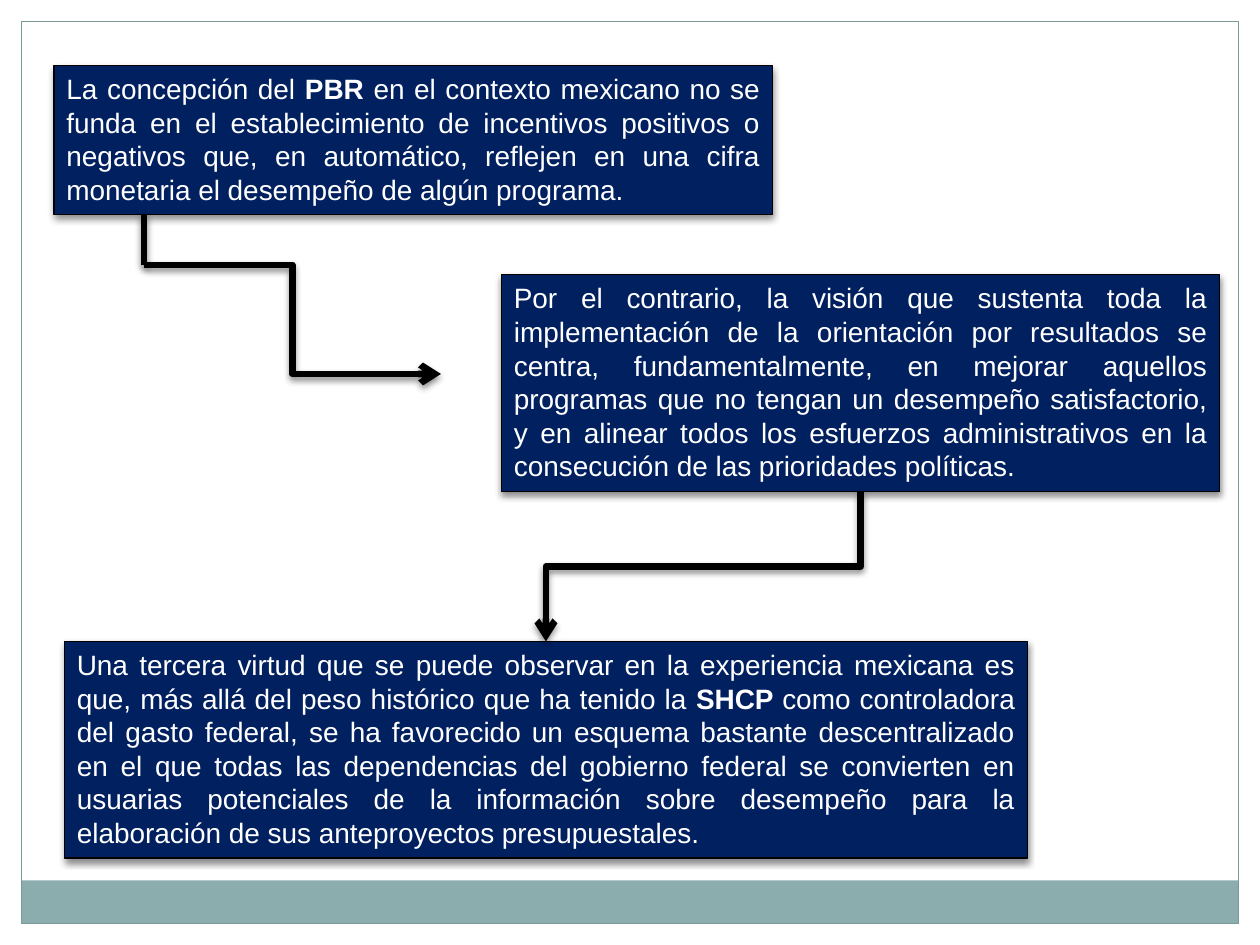
from dataclasses import dataclass

from pptx import Presentation
from pptx.dml.color import RGBColor as RGB
from pptx.enum.shapes import MSO_CONNECTOR as CONN, MSO_SHAPE as SHAPE
from pptx.enum.text import MSO_ANCHOR as ANCHOR, PP_ALIGN as ALIGN
from pptx.oxml import parse_xml
from pptx.oxml.ns import nsdecls
from pptx.util import Cm, Pt


@dataclass(frozen=True)
class Theme:
    paper: RGB = RGB(0xFF, 0xFF, 0xFF)
    band: RGB = RGB(0x8C, 0xAD, 0xAE)
    frame: RGB = RGB(0x7C, 0x99, 0x9A)
    box: RGB = RGB(0x00, 0x20, 0x60)
    ink: RGB = RGB(0x00, 0x00, 0x00)
    text: RGB = RGB(0xFF, 0xFF, 0xFF)
    font: str = "Arial"
    size: float = 16
    thin: float = 0.75
    thick: float = 3.75


@dataclass(frozen=True)
class Box:
    """A rectangle in centimetres."""
    x: float
    y: float
    w: float
    h: float

    @property
    def mid(self):
        return self.x + self.w / 2

    @property
    def bottom(self):
        return self.y + self.h


T = Theme()
PAGE = Box(0, 0, 25.4, 19.05)
MARGIN = 0.43

# Each text is a list of (words, bold) pieces
STEPS = [
    (Box(1.09, 1.32, 14.48, 3), [
        ("La concepción del ", False), ("PBR ", True),
        ("en el contexto mexicano no se funda en el establecimiento de "
         "incentivos positivos o negativos que, en automático, reflejen en "
         "una cifra monetaria el desempeño de algún programa.", False)]),
    (Box(10.11, 5.54, 14.48, 4.37), [
        ("Por el contrario, la visión que sustenta toda la implementación de "
         "la orientación por resultados se centra, fundamentalmente, en "
         "mejorar aquellos programas que no tengan un desempeño "
         "satisfactorio, y en alinear todos los esfuerzos administrativos en "
         "la consecución de las prioridades políticas.", False)]),
    (Box(1.3, 12.93, 19.41, 4.37), [
        ("Una tercera virtud que se puede observar en la experiencia mexicana "
         "es que, más allá del peso histórico que ha tenido la ", False),
        ("SHCP ", True),
        ("como controladora del gasto federal, se ha favorecido un esquema "
         "bastante descentralizado en el que todas las dependencias del "
         "gobierno federal se convierten en usuarias potenciales de la "
         "información sobre desempeño para la elaboración de sus "
         "anteproyectos presupuestales.", False)]),
]


def add_shadow(sp):
    """Soft shadow straight below; call once fill and line are set."""
    sp._element.spPr.append(parse_xml(
        f'<a:effectLst {nsdecls("a")}>'
        '<a:outerShdw blurRad="50800" dist="25400" dir="5400000" rotWithShape="0">'
        '<a:srgbClr val="000000"><a:alpha val="45000"/></a:srgbClr>'
        '</a:outerShdw></a:effectLst>'))


def add_rect(slide, box, fill=None, line=None, shadow=False):
    sp = slide.shapes.add_shape(
        SHAPE.RECTANGLE, Cm(box.x), Cm(box.y), Cm(box.w), Cm(box.h))
    if fill is None:
        sp.fill.background()
    else:
        sp.fill.solid()
        sp.fill.fore_color.rgb = fill
    if line is None:
        sp.line.fill.background()
    else:
        sp.line.color.rgb = line
        sp.line.width = Pt(T.thin)
    if shadow:
        add_shadow(sp)
    else:
        sp.shadow.inherit = False
    return sp


def add_run(p, text, bold=False):
    r = p.add_run()
    r.text = text
    r.font.name, r.font.size = T.font, Pt(T.size)
    r.font.bold, r.font.color.rgb = bold, T.text


def add_step(slide, box, pieces):
    sp = add_rect(slide, box, T.box, T.ink, shadow=True)
    tf = sp.text_frame
    tf.word_wrap = True
    tf.vertical_anchor = ANCHOR.TOP
    p = tf.paragraphs[0]
    p.alignment = ALIGN.JUSTIFY
    for text, bold in pieces:
        add_run(p, text, bold=bold)


def add_link(slide, start, end, kind=CONN.ELBOW, arrow=True, downward=False):
    """Thick line; a downward elbow leaves and arrives vertically."""
    (x1, y1), (x2, y2) = start, end
    cx = slide.shapes.add_connector(kind, Cm(x1), Cm(y1), Cm(x2), Cm(y2))
    if downward:
        # Quarter turn about the centre, so width and height change places
        w, h = abs(y2 - y1), abs(x2 - x1)
        xfrm = cx._element.spPr.xfrm
        xfrm.set("rot", "5400000")
        xfrm.attrib.pop("flipH", None)
        cx.left, cx.top = Cm((x1 + x2 - w) / 2), Cm((y1 + y2 - h) / 2)
        cx.width, cx.height = Cm(w), Cm(h)
    cx.line.color.rgb = T.ink
    cx.line.width = Pt(T.thick)
    ln = cx.line._get_or_add_ln()
    ln.append(parse_xml(f'<a:round {nsdecls("a")}/>'))
    if arrow:
        ln.append(parse_xml(f'<a:tailEnd {nsdecls("a")} type="arrow"/>'))
    add_shadow(cx)


def add_backdrop(slide, page):
    # White margins
    for box in (Box(page.x, page.y, page.w, MARGIN),
                Box(page.w - MARGIN, page.y, MARGIN, page.h),
                Box(page.x, page.y, MARGIN, page.h)):
        add_rect(slide, box, T.paper)
    # Bottom band and page frame
    inner = Box(MARGIN, MARGIN, page.w - 2 * MARGIN, page.h - 2 * MARGIN)
    add_rect(slide, Box(inner.x, inner.bottom - 0.87, inner.w, 0.87), T.band)
    add_rect(slide, inner, line=T.frame)


def add_flow(slide, steps):
    for box, pieces in steps:
        add_step(slide, box, pieces)
    first, second, third = (box for box, _ in steps)
    # First to second: short stem, then an elbow to the right
    stem_x, bend_y = first.x + 1.81, first.bottom + 1.02
    add_link(slide, (stem_x, bend_y), (second.x - 1.22, bend_y + 2.2))
    add_link(slide, (stem_x, first.bottom), (stem_x, bend_y),
             kind=CONN.STRAIGHT, arrow=False)
    # Second to third
    add_link(slide, (second.mid, second.bottom), (third.mid, third.y),
             downward=True)


def main():
    prs = Presentation()
    prs.slide_width, prs.slide_height = Cm(PAGE.w), Cm(PAGE.h)
    slide = prs.slides.add_slide(prs.slide_layouts[6])
    add_backdrop(slide, PAGE)
    add_flow(slide, STEPS)
    prs.save("out.pptx")


if __name__ == "__main__":
    main()
